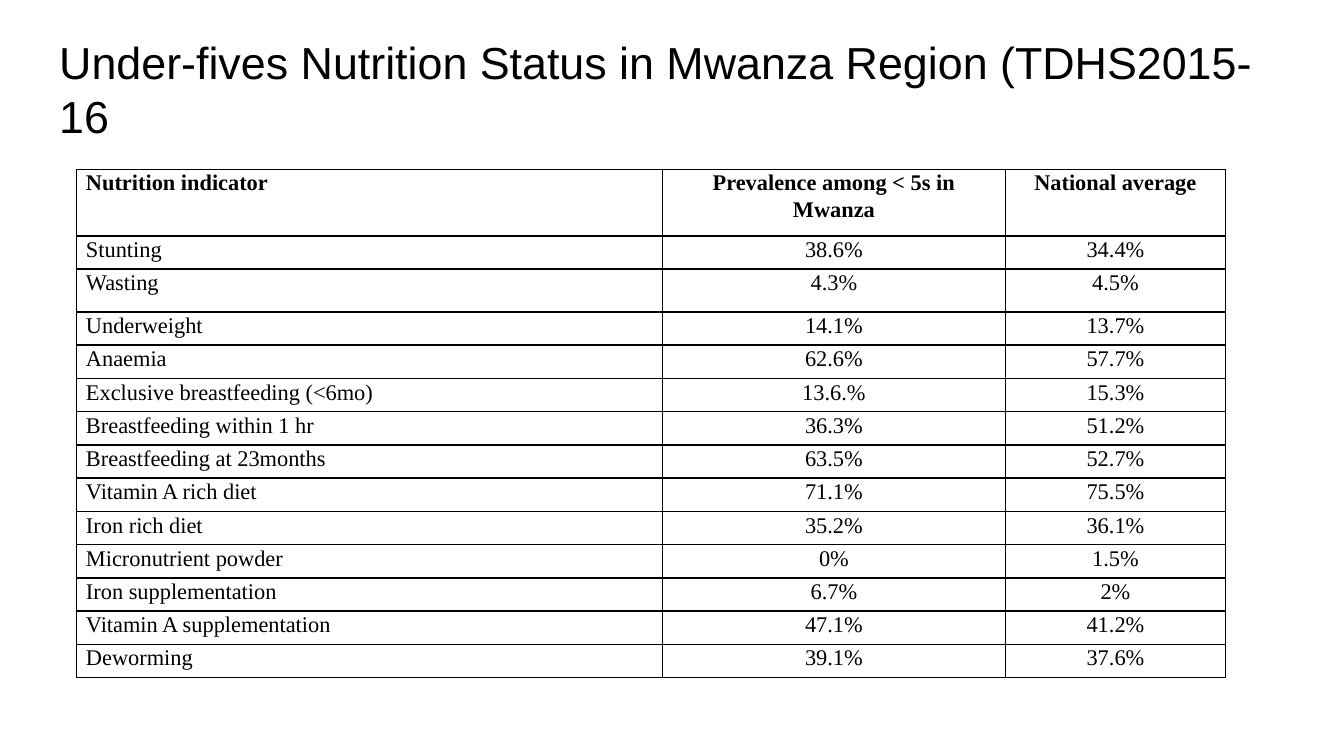
import pptx
import pptx.dml.color
import pptx.enum.text
import pptx.oxml
import pptx.oxml.ns
import pptx.util

EMU_PER_PX = 914400 // 400
ALIGN = pptx.enum.text.PP_ALIGN

TITLE = "Under-fives Nutrition Status in Mwanza Region (TDHS2015-16"
HEADER = ("Nutrition indicator", "Prevalence among < 5s in Mwanza", "National average")
INDICATORS = [
    ("Stunting", "38.6%", "34.4%"),
    ("Wasting", "4.3%", "4.5%"),
    ("Underweight", "14.1%", "13.7%"),
    ("Anaemia", "62.6%", "57.7%"),
    ("Exclusive breastfeeding (<6mo)", "13.6.%", "15.3%"),
    ("Breastfeeding within 1 hr", "36.3%", "51.2%"),
    ("Breastfeeding at 23months", "63.5%", "52.7%"),
    ("Vitamin A rich diet", "71.1%", "75.5%"),
    ("Iron rich diet", "35.2%", "36.1%"),
    ("Micronutrient powder", "0%", "1.5%"),
    ("Iron supplementation", "6.7%", "2%"),
    ("Vitamin A supplementation", "47.1%", "41.2%"),
    ("Deworming", "39.1%", "37.6%"),
]
COLUMN_WIDTHS = (1744, 1020, 656)
HEADER_HEIGHT, WASTING_HEIGHT, ROW_HEIGHT = 198, 128, 99


def px(length):
    return pptx.util.Emu(length * EMU_PER_PX)


def color(value):
    return pptx.dml.color.RGBColor.from_string(value)


def write(para, text, font, size, ink, bold=False, align=ALIGN.LEFT, spacing=1.0):
    para.alignment = align
    para.line_spacing = spacing
    span = para.add_run()
    span.text = text
    span.font.name = font
    span.font.size = pptx.util.Pt(size)
    span.font.bold = bold
    span.font.color.rgb = color(ink)


def set_margins(target, across, down):
    target.margin_left = target.margin_right = px(across)
    target.margin_top = target.margin_bottom = px(down)


class NutritionSlide:
    title_font = "Arial"
    table_font = "Times New Roman"
    ink = "000000"

    def __init__(self, deck):
        self.page = deck.slides.add_slide(deck.slide_layouts[5])

    def title(self, text, left, top, width, height):
        box = self.page.shapes.title
        box.left, box.top, box.width, box.height = map(px, (left, top, width, height))
        frame = box.text_frame
        frame.word_wrap = True
        frame.auto_size = pptx.enum.text.MSO_AUTO_SIZE.NONE
        frame.vertical_anchor = pptx.enum.text.MSO_ANCHOR.TOP
        set_margins(frame, 40, 40)
        write(frame.paragraphs[0], text, self.title_font, 24, self.ink)

    def borders(self, cell):
        properties = cell._tc.get_or_add_tcPr()
        for side in ("lnL", "lnR", "lnT", "lnB"):
            properties.append(pptx.oxml.parse_xml(
                f'<a:{side} {pptx.oxml.ns.nsdecls("a")} w="{pptx.util.Pt(1)}">'
                f'<a:solidFill><a:srgbClr val="{self.ink}"/></a:solidFill></a:{side}>'
            ))

    def table(self, rows, left, top, widths, heights):
        table = self.page.shapes.add_table(
            len(rows), len(widths), px(left), px(top), px(sum(widths)), px(sum(heights))
        ).table
        table.first_row = table.horz_banding = False
        for column, width in zip(table.columns, widths):
            column.width = px(width)
        for row, height in zip(table.rows, heights):
            row.height = px(height)
        for row_index, texts in enumerate(rows):
            for column_index, text in enumerate(texts):
                cell = table.cell(row_index, column_index)
                set_margins(cell, 28, 0)
                self.borders(cell)
                cell.fill.background()
                write(
                    cell.text_frame.paragraphs[0], text, self.table_font, 12, self.ink,
                    bold=row_index == 0,
                    align=ALIGN.CENTER if column_index else ALIGN.LEFT,
                    spacing=1.07,
                )


def main():
    deck = pptx.Presentation()
    deck.slide_width, deck.slide_height = px(4000), px(2250)
    slide = NutritionSlide(deck)
    slide.title(TITLE, 136, 64, 3728, 248)
    heights = [HEADER_HEIGHT] + [
        WASTING_HEIGHT if name == "Wasting" else ROW_HEIGHT for name, *_ in INDICATORS
    ]
    slide.table([HEADER, *INDICATORS], 228, 504, COLUMN_WIDTHS, heights)
    deck.save("out.pptx")


if __name__ == "__main__":
    main()
